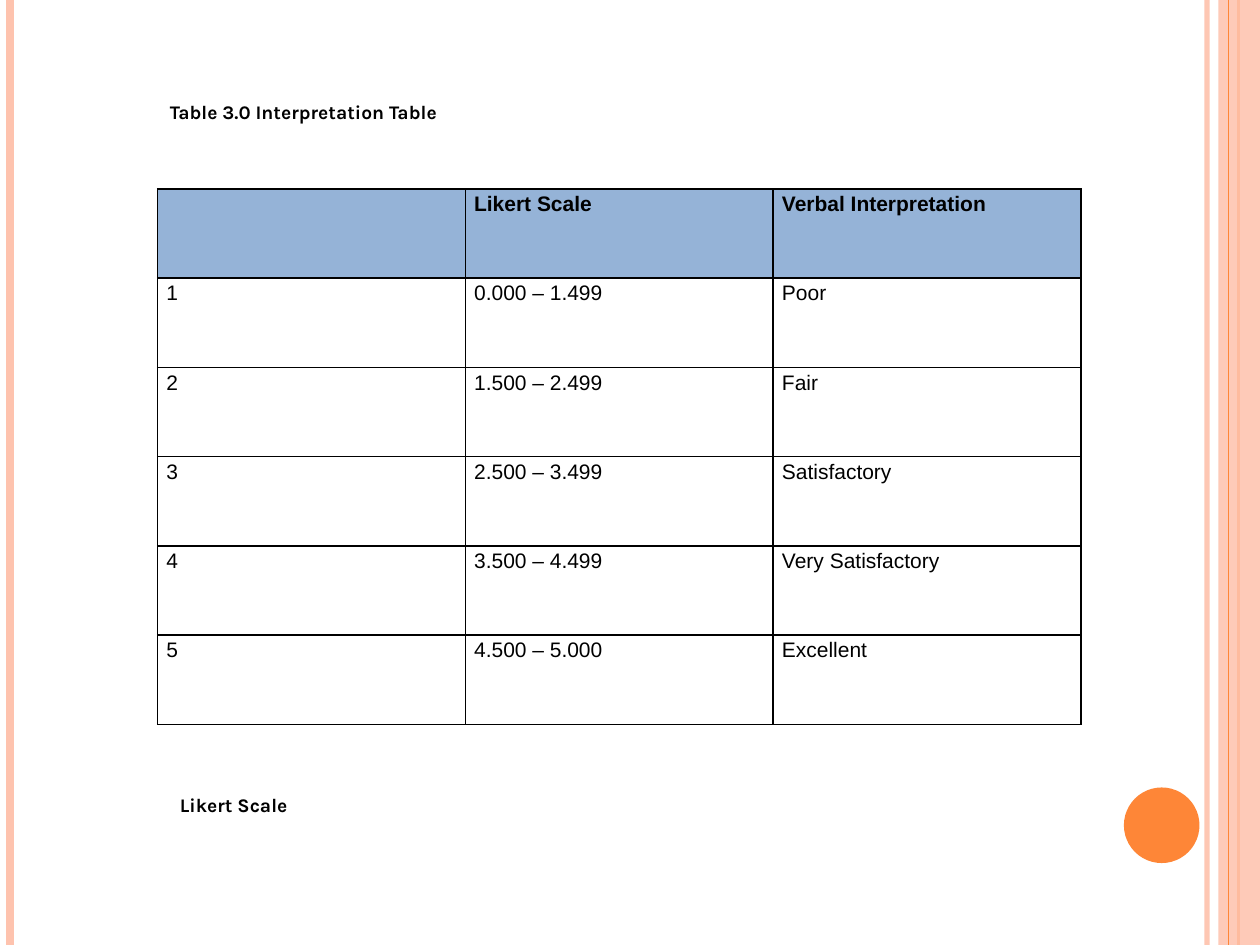
import pptx
import pptx.util
import pptx.dml.color
import pptx.enum.shapes
import pptx.enum.text
import pptx.oxml
import pptx.oxml.ns
from lxml import etree

Inches = pptx.util.Inches
Pt = pptx.util.Pt
SHAPES = pptx.enum.shapes.MSO_SHAPE
qn = pptx.oxml.ns.qn

PEACH, ORANGE, BLUE, BLACK = "FEC3AE", "FE8637", "95B3D7", "000000"
ROWS = [
    ("", "Likert Scale", "Verbal Interpretation"),
    ("1", "0.000 – 1.499", "Poor"),
    ("2", "1.500 – 2.499", "Fair"),
    ("3", "2.500 – 3.499", "Satisfactory"),
    ("4", "3.500 – 4.499", "Very Satisfactory"),
    ("5", "4.500 – 5.000", "Excellent"),
]


def paint(color_format, color):
    color_format.rgb = pptx.dml.color.RGBColor.from_string(color)


def set_opacity(element, percent):
    color = next(element.iter(qn("a:srgbClr")))
    etree.SubElement(color, qn("a:alpha"), val=str(percent * 1000))


def add_stripe(page, x, color, width, opacity=100):
    """Draw a line down the full height of the page."""
    line = page.shapes.add_connector(
        pptx.enum.shapes.MSO_CONNECTOR.STRAIGHT, Inches(x), 0, Inches(x), Inches(7.5))
    line.line.width = Pt(width)
    paint(line.line.color, color)
    properties = line.element.spPr
    if opacity < 100:
        set_opacity(properties, opacity)
    etree.SubElement(properties, qn("a:effectLst"))


def add_filled_shape(page, kind, left, top, width, height, color, opacity=100):
    shape = page.shapes.add_shape(
        kind, Inches(left), Inches(top), Inches(width), Inches(height))
    shape.shadow.inherit = False
    shape.fill.solid()
    paint(shape.fill.fore_color, color)
    shape.line.fill.background()
    if opacity < 100:
        set_opacity(shape.element.spPr, opacity)


def style_text(para, font, size, bold):
    para.space_after = Pt(10)
    para.font.name = font
    para.font.size = Pt(size)
    para.font.bold = bold
    paint(para.font.color, BLACK)


def add_caption(page, left, top, text):
    box = page.shapes.add_textbox(Inches(left), Inches(top), Inches(5.08), Inches(0.38))
    box.text_frame.word_wrap = True
    para = box.text_frame.paragraphs[0]
    para.text = text
    style_text(para, "Karla", 11, True)


def add_borders(cell):
    properties = cell._tc.get_or_add_tcPr()
    for side in ("lnL", "lnR", "lnT", "lnB"):
        border = etree.SubElement(properties, qn("a:" + side), w=str(Pt(1)))
        fill = etree.SubElement(border, qn("a:solidFill"))
        etree.SubElement(fill, qn("a:srgbClr"), val=BLACK)


def fill_cell(cell, text, header):
    cell.margin_left = cell.margin_right = Inches(0.07)
    cell.margin_top = cell.margin_bottom = 0
    add_borders(cell)
    if header:
        cell.fill.solid()
        paint(cell.fill.fore_color, BLUE)
    else:
        cell.fill.background()
    para = cell.text_frame.paragraphs[0]
    para.text = text
    para.alignment = pptx.enum.text.PP_ALIGN.JUSTIFY
    para.line_spacing = 1.15
    style_text(para, "Arial", 12, header)


def add_scale_table(page):
    table = page.shapes.add_table(
        len(ROWS), len(ROWS[0]),
        Inches(1.25), Inches(1.5), Inches(7.33), Inches(4.25)).table
    table.first_row = table.horz_banding = False
    for row, texts in enumerate(ROWS):
        for column, text in enumerate(texts):
            fill_cell(table.cell(row, column), text, header=row == 0)


def main():
    deck = pptx.Presentation()
    deck.slide_width, deck.slide_height = Inches(10), Inches(7.5)
    page = deck.slides.add_slide(deck.slide_layouts[6])

    add_stripe(page, 9.58, PEACH, 3, opacity=93)
    add_stripe(page, 0.08, PEACH, 4.5)
    add_stripe(page, 9.83, ORANGE, 1.5)
    add_filled_shape(page, SHAPES.RECTANGLE, 9.67, 0, 0.33, 7.5, PEACH, opacity=87)
    add_stripe(page, 9.75, ORANGE, 0.75)
    add_filled_shape(page, SHAPES.OVAL, 8.92, 6.25, 0.6, 0.6, ORANGE)

    add_scale_table(page)
    add_caption(page, 1.25, 0.75, "Table 3.0 Interpretation Table")
    add_caption(page, 1.33, 6.25, "Likert Scale")
    deck.save("out.pptx")


if __name__ == "__main__":
    main()
